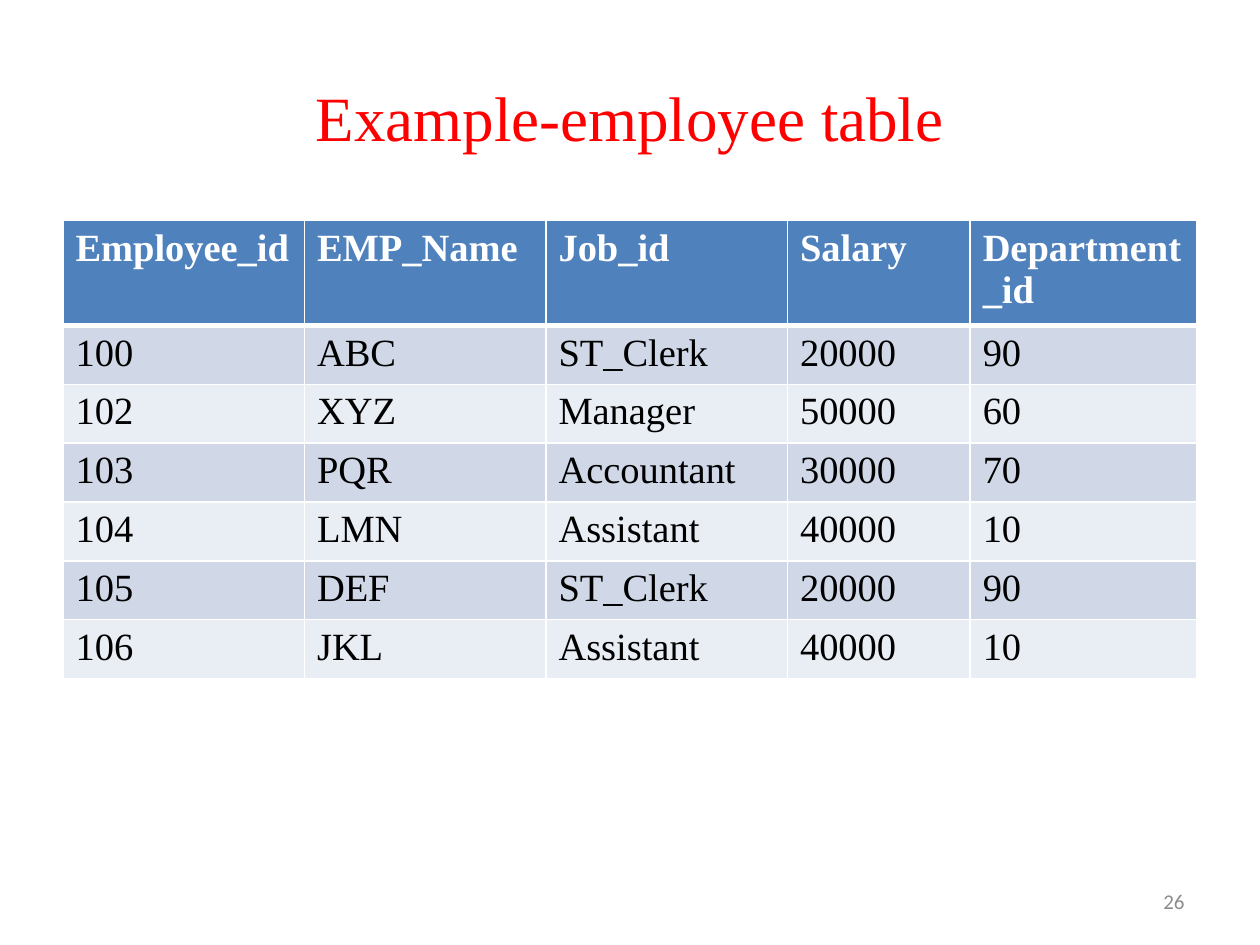
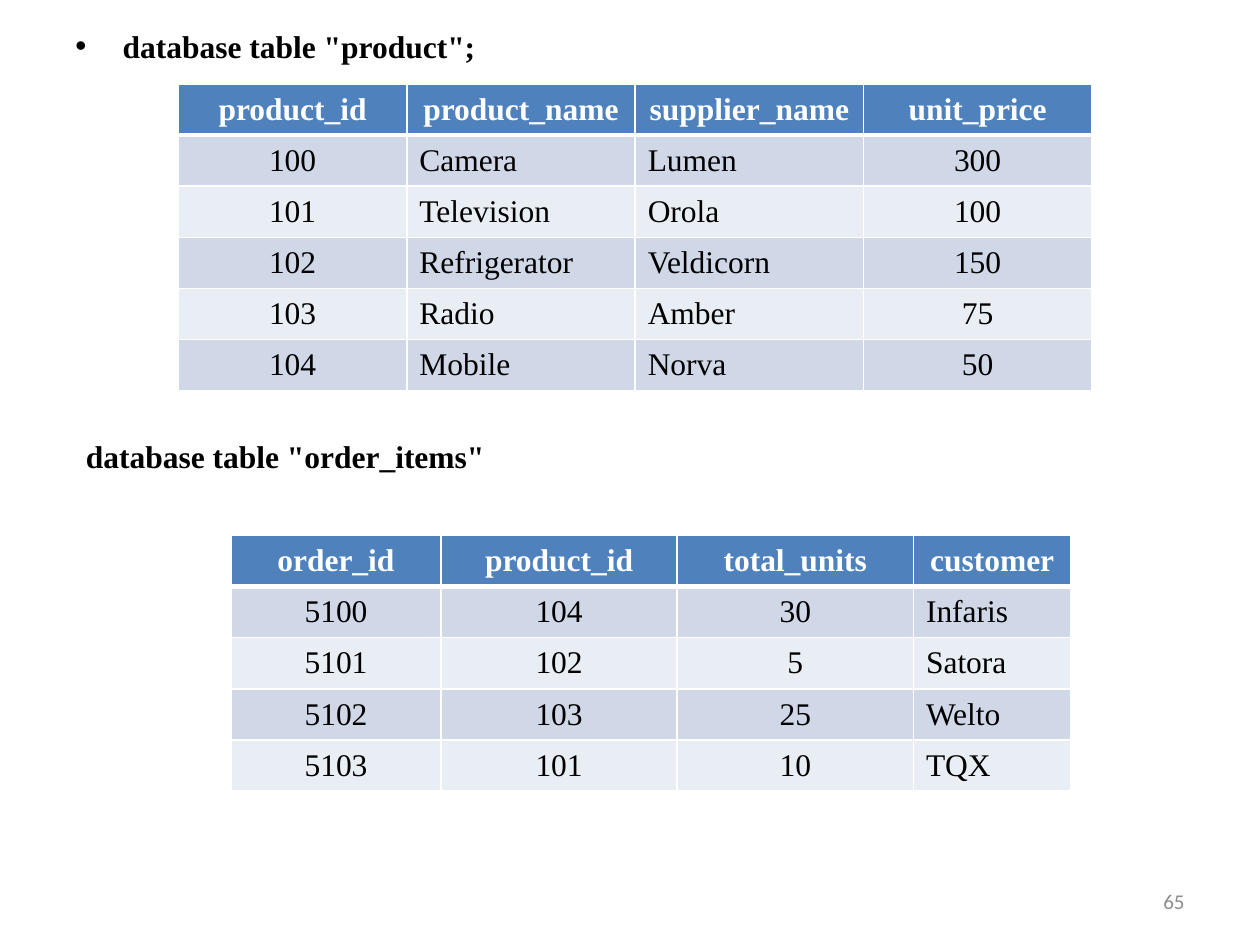
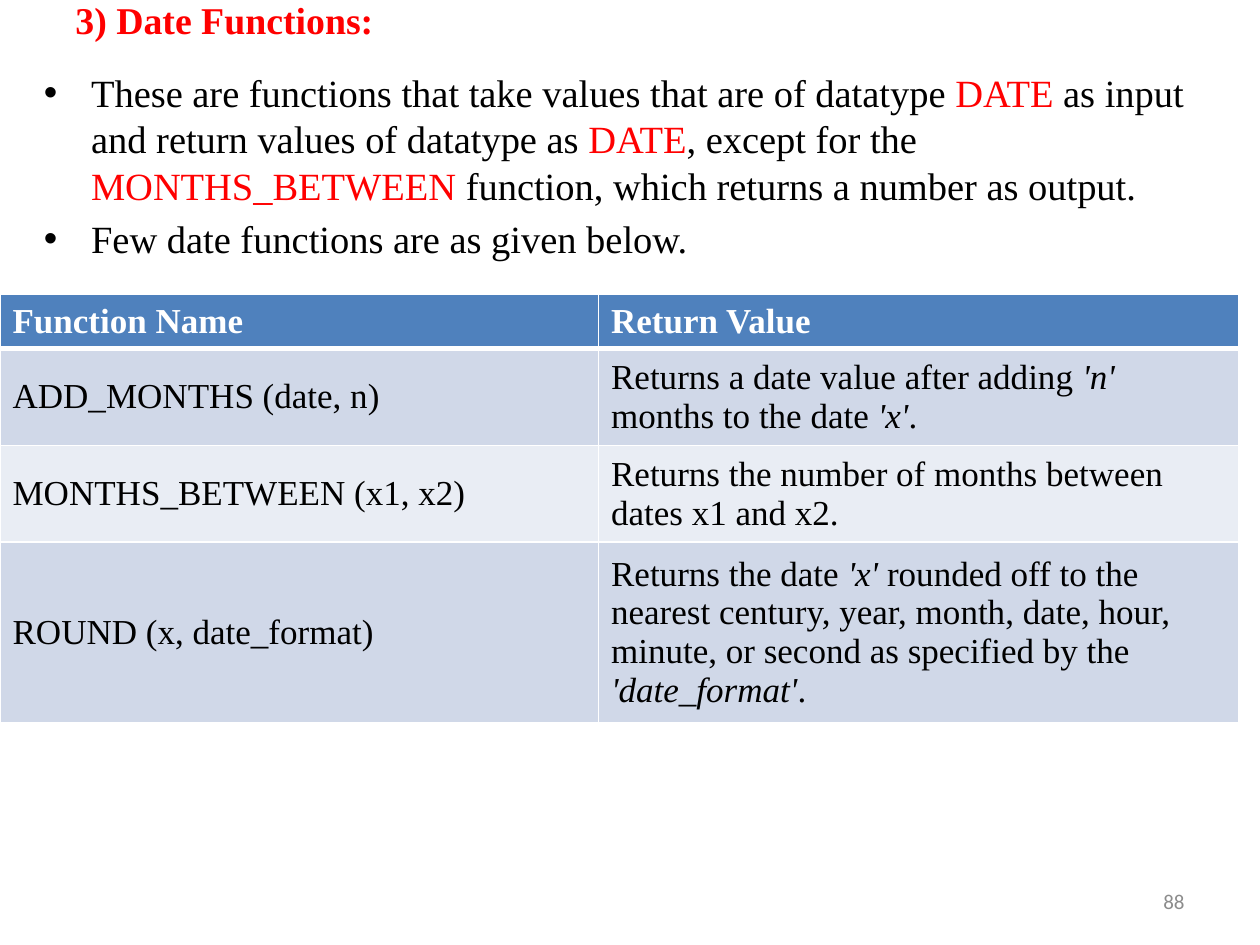
import pptx
import pptx.dml.color
import pptx.enum.text
import pptx.oxml
import pptx.oxml.ns
import pptx.util
from lxml import etree

Pt = pptx.util.Pt
ALIGN = {"l": pptx.enum.text.PP_ALIGN.LEFT,
         "c": pptx.enum.text.PP_ALIGN.CENTER,
         "r": pptx.enum.text.PP_ALIGN.RIGHT}
TOP = pptx.enum.text.MSO_ANCHOR.TOP
MID = pptx.enum.text.MSO_ANCHOR.MIDDLE
HUES = {"paper": "FFFFFF", "ink": "000000", "key": "FF0000", "head": "4F81BD",
        "odd": "D0D8E8", "even": "E9EDF4", "page": "8C8C8C"}
SERIF, SANS = "Times New Roman", "Calibri"
ROW = 29.2   # height of a one-line table row


def hue(name):
    return pptx.dml.color.RGBColor.from_string(HUES[name])


def add_sub(parent, tag, **attrs):
    return etree.SubElement(parent, pptx.oxml.ns.qn(tag), attrs)


class Deck:
    def __init__(self):
        self.file = pptx.Presentation()
        self.file.slide_width, self.file.slide_height = Pt(720), Pt(540)
        self.slide = None

    def page(self, number):
        """Start a slide and put its number in the footer."""
        self.slide = self.file.slides.add_slide(self.file.slide_layouts[6])
        fill = self.slide.background.fill
        fill.solid()
        fill.fore_color.rgb = hue("paper")
        self.text((516, 500.4, 168, 28.8), [number], 12, "page",
                  align="r", anchor=MID, font=SANS)

    def runs(self, para, parts, size, color, bold=False, font=SERIF):
        """Add plain strings, or (string, style) pairs: "key" or "italic"."""
        for part in [parts] if isinstance(parts, str) else parts:
            words, style = (part, "") if isinstance(part, str) else part
            run = para.add_run()
            run.text = words
            run.font.name, run.font.size = font, Pt(size)
            run.font.bold, run.font.italic = bold, style == "italic"
            run.font.color.rgb = hue("key" if style == "key" else color)

    def text(self, place, paras, size, color="ink", bold=False, align="l",
             anchor=TOP, font=SERIF, bullet=False):
        box = self.slide.shapes.add_textbox(*map(Pt, place))
        frame = box.text_frame
        frame.word_wrap, frame.vertical_anchor = True, anchor
        for n, parts in enumerate(paras):
            para = frame.add_paragraph() if n else frame.paragraphs[0]
            if bullet:
                self.bullet(para)
            para.alignment = ALIGN[align]
            if n:
                para.space_before = Pt(size * 0.2)
            self.runs(para, parts, size, color, bold, font)

    def bullet(self, para):
        props = para._p.get_or_add_pPr()
        props.set("marL", str(Pt(27)))
        props.set("indent", str(-Pt(27)))
        add_sub(props, "a:buFont", typeface="Arial")
        add_sub(props, "a:buChar", char="•")

    def table(self, left, top, widths, rows, size, aligns, anchor=MID,
              head="c", highs=None):
        highs = highs or [ROW] * len(rows)
        shape = self.slide.shapes.add_table(
            len(rows), len(widths), Pt(left), Pt(top),
            Pt(sum(widths)), Pt(sum(highs)))
        grid = shape.table
        for col, width in zip(grid.columns, widths):
            col.width = Pt(width)
        for r, row in enumerate(rows):
            grid.rows[r].height = Pt(highs[r])
            for c, parts in enumerate(row):
                cell = grid.cell(r, c)
                cell.vertical_anchor = anchor
                cell.fill.solid()
                cell.fill.fore_color.rgb = hue(
                    ("odd" if r % 2 else "even") if r else "head")
                self.edges(cell, r)
                para = cell.text_frame.paragraphs[0]
                para.alignment = ALIGN[aligns[c] if r else head]
                self.runs(para, parts, size, "ink" if r else "paper", not r)

    def edges(self, cell, r):
        """White cell borders, with a thick rule below the header row."""
        props = cell._tc.get_or_add_tcPr()
        sides = {"L": 1, "R": 1, "T": 3 if r == 1 else 1, "B": 1 if r else 3}
        for n, (side, width) in enumerate(sides.items()):
            line = pptx.oxml.parse_xml(
                f'<a:ln{side} {pptx.oxml.ns.nsdecls("a")} w="{Pt(width)}"/>')
            add_sub(add_sub(line, "a:solidFill"), "a:srgbClr",
                    val=HUES["paper"])
            props.insert(n, line)


def main():
    deck = Deck()

    # Employee table
    deck.page("26")
    deck.text((36, 21.6, 648, 90), ["Example-employee table"], 36, "key",
              align="c", anchor=MID)
    deck.table(36, 126, [138, 138, 138, 104.4, 129.6], [
        ["Employee_id", "EMP_Name", "Job_id", "Salary", "Department_id"],
        ["100", "ABC", "ST_Clerk", "20000", "90"],
        ["102", "XYZ", "Manager", "50000", "60"],
        ["103", "PQR", "Accountant", "30000", "70"],
        ["104", "LMN", "Assistant", "40000", "10"],
        ["105", "DEF", "ST_Clerk", "20000", "90"],
        ["106", "JKL", "Assistant", "40000", "10"],
    ], 22, "lllll", TOP, head="l", highs=[55.6] + [31.6] * 6)

    # Product and order tables
    deck.page("65")
    deck.text((36, 11.7, 648, 470), ['database table "product";'], 18,
              bold=True, bullet=True)
    deck.table(102, 48, [130.5] * 4, [
        ["product_id", "product_name", "supplier_name", "unit_price"],
        ["100", "Camera", "Lumen", "300"],
        ["101", "Television", "Orola", "100"],
        ["102", "Refrigerator", "Veldicorn", "150"],
        ["103", "Radio", "Amber", "75"],
        ["104", "Mobile", "Norva", "50"],
    ], 18, "cllc")
    deck.text((42, 246, 336, 28.8), ['database table "order_items"'], 18,
              bold=True)
    deck.table(132, 306, [120, 135, 135, 90], [
        ["order_id", "product_id", "total_units", "customer"],
        ["5100", "104", "30", "Infaris"],
        ["5101", "102", "5", "Satora"],
        ["5102", "103", "25", "Welto"],
        ["5103", "101", "10", "TQX"],
    ], 18, "cccl")

    # Date functions
    deck.page("88")
    deck.text((36, 0, 648, 21.8), ["3) Date Functions:"], 21.6, "key",
              bold=True, anchor=MID)
    deck.text((18, 36, 684, 492), [
        ["These are functions that take values that are of datatype ",
         ("DATE", "key"), " as input and return values of datatype as ",
         ("DATE", "key"), ", except for the ", ("MONTHS_BETWEEN", "key"),
         " function, which returns a number as output."],
        "Few date functions are as given below.",
    ], 22, bullet=True)
    deck.table(0, 168, [342, 366], [
        ["Function Name", "Return Value"],
        ["ADD_MONTHS (date, n)",
         ["Returns a date value after adding ", ("'n'", "italic"),
          " months to the date ", ("'x'", "italic"), "."]],
        ["MONTHS_BETWEEN (x1, x2)",
         "Returns the number of months between dates x1 and x2."],
        ["ROUND (x, date_format)",
         ["Returns the date ", ("'x'", "italic"),
          " rounded off to the nearest century, year, month, date, hour, "
          "minute, or second as specified by the ",
          ("'date_format'", "italic"), "."]],
    ], 20, "ll", head="l", highs=[ROW, 51.5, 51.5, 95.8])

    deck.file.save("out.pptx")


if __name__ == "__main__":
    main()
